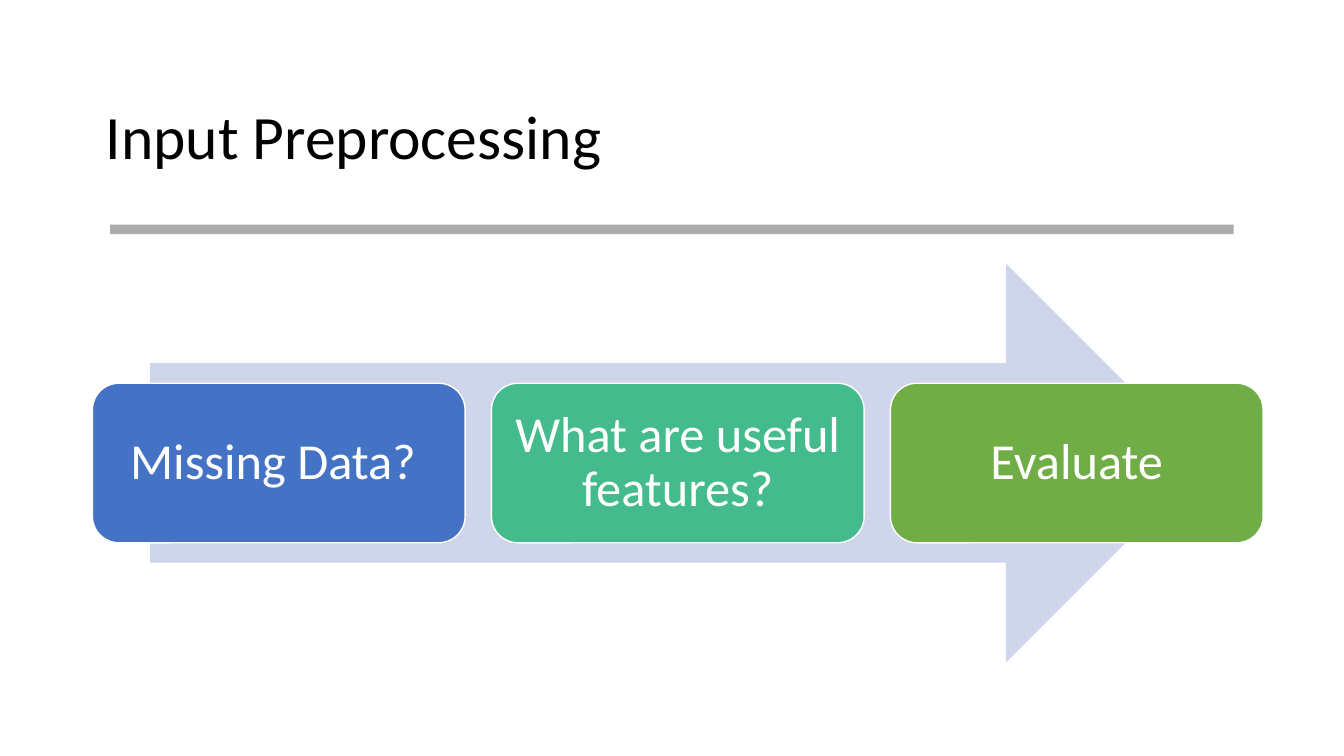
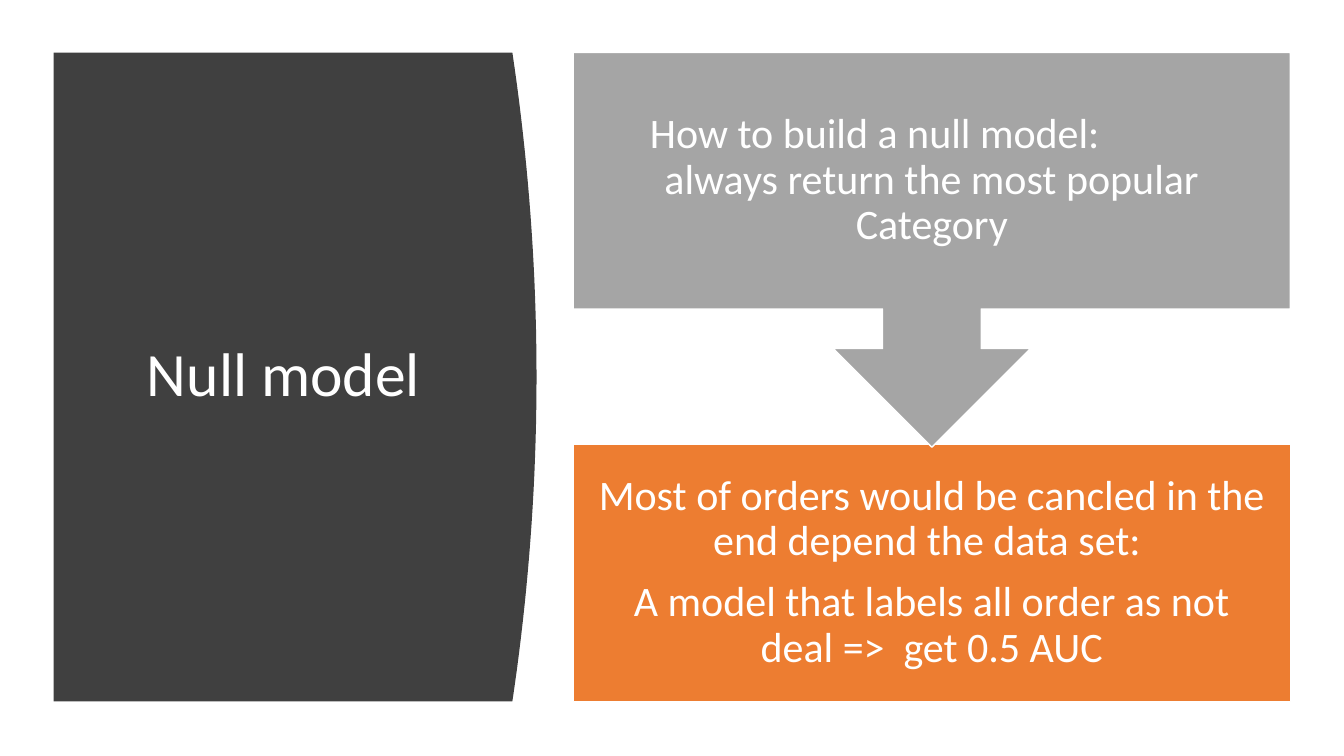
from dataclasses import dataclass

from pptx import Presentation
from pptx import util as u
from pptx.dml.color import RGBColor
from pptx.enum import shapes, text

PX = 9525  # EMU in one px, 96 px to the inch


@dataclass(frozen=True)
class Theme:
    font: str = "Calibri"
    title_size: int = 44
    step_size: int = 36
    body_size: int = 30
    line_spacing: float = 0.9
    black: str = "000000"
    white: str = "FFFFFF"
    rule: str = "ACACAC"
    arrow: str = "CFD5EA"
    blue: str = "4472C4"
    teal: str = "43BB8D"
    green: str = "70AD47"
    panel: str = "404040"
    grey: str = "A5A5A5"
    orange: str = "ED7D31"


theme = Theme()


def add_title_slide(title_text, bounds, color):
    slide = presentation.slides.add_slide(presentation.slide_layouts[5])
    title = slide.shapes.title
    title.left, title.top, title.width, title.height = (n * PX for n in bounds)
    frame = title.text_frame
    frame.text = title_text
    frame.word_wrap = True
    frame.auto_size = text.MSO_AUTO_SIZE.NONE
    frame.vertical_anchor = text.MSO_ANCHOR.MIDDLE
    paragraph = frame.paragraphs[0]
    paragraph.alignment = text.PP_ALIGN.LEFT
    paragraph.line_spacing = theme.line_spacing
    paragraph.font.name = theme.font
    paragraph.font.size = u.Pt(theme.title_size)
    paragraph.font.color.rgb = RGBColor.from_string(color)
    return slide


def add_block(slide, kind, bounds, fill, lines=(), size=0, inset=0):
    """Add a filled shape; a block with text also gets a white outline."""
    shape = slide.shapes.add_shape(kind, *(n * PX for n in bounds))
    shape.shadow.inherit = False
    shape.fill.solid()
    shape.fill.fore_color.rgb = RGBColor.from_string(fill)
    if not lines:
        shape.line.fill.background()
        return shape
    shape.line.color.rgb = RGBColor.from_string(theme.white)
    shape.line.width = u.Pt(1)
    frame = shape.text_frame
    frame.text = "\n".join(lines)
    frame.word_wrap = True
    frame.vertical_anchor = text.MSO_ANCHOR.MIDDLE
    frame.margin_left = frame.margin_right = inset * PX
    frame.margin_top = frame.margin_bottom = inset * PX
    for paragraph in frame.paragraphs:
        paragraph.alignment = text.PP_ALIGN.CENTER
        paragraph.line_spacing = theme.line_spacing
        paragraph.font.name = theme.font
        paragraph.font.size = u.Pt(size)
        paragraph.font.color.rgb = RGBColor.from_string(theme.white)
    return shape


presentation = Presentation()
presentation.slide_width = 1280 * PX
presentation.slide_height = 720 * PX
kinds = shapes.MSO_SHAPE

# Slide 1: title, rule and arrow
slide = add_title_slide("Input Preprocessing", (91, 63, 1097, 139), theme.black)
add_block(slide, kinds.RECTANGLE, (105, 214, 1070, 9), theme.rule)
add_block(slide, kinds.RIGHT_ARROW, (143, 251, 1005, 380), theme.arrow)

# Slide 1: steps along the arrow
steps = [
    ("Missing Data? ", theme.blue),
    ("What are useful features?", theme.teal),
    ("Evaluate", theme.green),
]
step_width, step_gap = 355, 25
for index, (label, color) in enumerate(steps):
    left = 88 + index * (step_width + step_gap)
    add_block(slide, kinds.ROUNDED_RECTANGLE, (left, 365, step_width, 152),
              color, [label], theme.step_size, 14)

# Slide 2: title, indented inside the panel
slide = add_title_slide("Null model", (90, 107, 359, 503), theme.white)
title = slide.shapes.title
title.text_frame.margin_left = 50 * PX

# Slide 2: dark panel with a bulging right edge, behind the title
panel_left, panel_top, panel_right, panel_height, bulge = 51, 50, 488, 618, 23
edge_steps = 40
edge = []
for index in range(edge_steps + 1):
    t = index / edge_steps
    edge.append(((panel_right + bulge * 4 * t * (1 - t)) * PX,
                 (panel_top + panel_height * t) * PX))
builder = slide.shapes.build_freeform(panel_left * PX, panel_top * PX)
builder.add_line_segments(
    edge + [(panel_left * PX, (panel_top + panel_height) * PX)], close=True)
panel = builder.convert_to_shape()
panel.shadow.inherit = False
panel.fill.solid()
panel.fill.fore_color.rgb = RGBColor.from_string(theme.panel)
panel.line.fill.background()
title.element.addprevious(panel.element)

# Slide 2: result, then the callout that points to it
result = add_block(
    slide, kinds.RECTANGLE, (546, 423, 683, 245), theme.orange,
    ["Most of orders would be cancled in the end depend the data set: ",
     "A model that labels all order as not deal =>  get 0.5 AUC"],
    theme.body_size, 22)
result.text_frame.paragraphs[0].space_after = u.Pt(11)

callout = add_block(
    slide, kinds.DOWN_ARROW_CALLOUT, (546, 50, 683, 376), theme.grey,
    ["How to build a null model:", "always return the most popular Category"],
    theme.body_size, 22)
question = callout.text_frame.paragraphs[0]
question.alignment = text.PP_ALIGN.LEFT
question._p.get_or_add_pPr().set("marL", str(51 * PX))

presentation.save("out.pptx")
